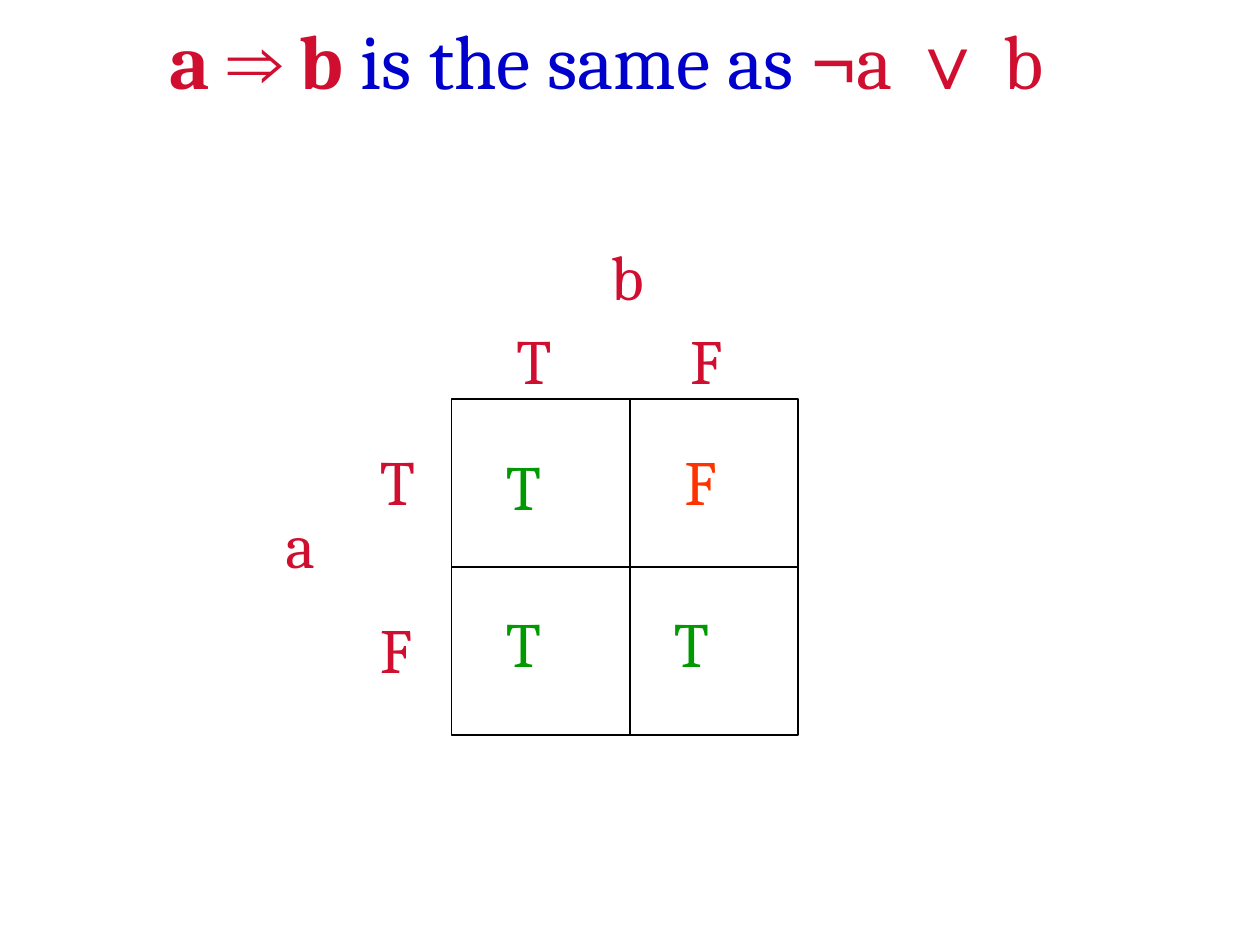
from dataclasses import dataclass

from lxml.etree import SubElement
from pptx import Presentation
from pptx.dml.color import RGBColor
from pptx.enum.shapes import MSO_CONNECTOR as Connector, MSO_SHAPE as Shape
from pptx.enum.text import MSO_ANCHOR as Anchor, MSO_AUTO_SIZE as AutoSize
from pptx.oxml.ns import qn
from pptx.util import Inches, Pt


@dataclass(frozen=True)
class Theme:
    red: str = "CF0E30"
    blue: str = "0000CC"
    green: str = "009900"
    orange: str = "FF3300"
    black: str = "000000"
    white: str = "FFFFFF"
    serif: str = "Cambria"
    symbols: str = "Arial"
    title_size: int = 44
    label_size: int = 36
    rule_width: int = 1


THEME = Theme()
LABEL_ROWS = 8.4


def grid(units):
    """Length of a number of grid columns or rows, twelve to the inch."""
    return Inches(units / 12)


def add_run(paragraph, text, size, color, font=THEME.serif, bold=False):
    run = paragraph.add_run()
    run.text = text
    run.font.size = Pt(size)
    run.font.name = font
    run.font.bold = bold
    run.font.color.rgb = RGBColor.from_string(color)


def add_title(slide):
    frame = slide.shapes.add_textbox(*map(grid, (15, 6, 99, 8))).text_frame
    frame.word_wrap = True
    frame.vertical_anchor = Anchor.MIDDLE
    line = frame.paragraphs[0]
    line.font.size = Pt(THEME.title_size)
    for text, color, font, bold in (
        ("a ", THEME.red, THEME.serif, True),
        ("⇒", THEME.red, THEME.symbols, True),
        (" b", THEME.red, THEME.serif, True),
        (" is the same as ", THEME.blue, THEME.serif, False),
        ("¬", THEME.red, THEME.symbols, False),
        ("a ", THEME.red, THEME.serif, False),
        ("∨", THEME.red, THEME.symbols, False),
        (" b", THEME.red, THEME.serif, False),
    ):
        add_run(line, text, THEME.title_size, color, font, bold)
    line.add_line_break()


def add_label(slide, text, column, row, columns, color=THEME.red):
    box = slide.shapes.add_textbox(*map(grid, (column, row, columns, LABEL_ROWS)))
    frame = box.text_frame
    frame.word_wrap = True
    frame.auto_size = AutoSize.SHAPE_TO_FIT_TEXT
    paragraph = frame.paragraphs[0]
    add_run(paragraph, text, THEME.label_size, color)
    return paragraph


def add_tab_stop(paragraph, position):
    tabs = SubElement(paragraph._p.get_or_add_pPr(), qn("a:tabLst"))
    SubElement(tabs, qn("a:tab"), pos=str(position), algn="l")


def add_square(slide, column, row, columns, rows):
    square = slide.shapes.add_shape(
        Shape.RECTANGLE, *map(grid, (column, row, columns, rows)))
    square.shadow.inherit = False
    square.fill.solid()
    square.fill.fore_color.rgb = RGBColor.from_string(THEME.white)
    square.line.color.rgb = RGBColor.from_string(THEME.black)
    square.line.width = Pt(THEME.rule_width)
    return square


def add_rule(slide, *ends):
    rule = slide.shapes.add_connector(Connector.STRAIGHT, *map(grid, ends))
    rule.line.color.rgb = RGBColor.from_string(THEME.black)
    rule.line.width = Pt(THEME.rule_width)
    SubElement(rule._element.spPr, qn("a:effectLst"))
    return rule


def add_truth_table(slide):
    left, top, columns, rows = 43, 38, 33, 32
    right, bottom, middle, divider = left + columns, top + rows, top + rows / 2, 60

    add_label(slide, "a", 26, 47.6, 9)
    add_label(slide, "T", 35, 41.6, 5)
    add_label(slide, "F", 35, 57.6, 7)
    b_values = add_label(slide, "T\tF", 48, 30, 29)
    add_tab_stop(b_values, Inches(1.38))

    square = add_square(slide, left, top, columns, rows)
    add_label(slide, "b", 57, 22, 8)
    row_rule = add_rule(slide, left, middle, right, middle)
    row_rule.begin_connect(square, 1)
    row_rule.end_connect(square, 3)
    add_rule(slide, divider, top, divider, bottom)

    for text, column, row, color in (
        ("T", 47, 42, THEME.green),
        ("T", 47, 57, THEME.green),
        ("T", 63, 57, THEME.green),
        ("F", 64, 41.6, THEME.orange),
    ):
        add_label(slide, text, column, row, 12, color)


def main():
    deck = Presentation()
    deck.slide_width, deck.slide_height = Inches(10), Inches(7.5)
    slide = deck.slides.add_slide(deck.slide_layouts[6])
    add_title(slide)
    add_truth_table(slide)
    deck.save("out.pptx")


if __name__ == "__main__":
    main()
